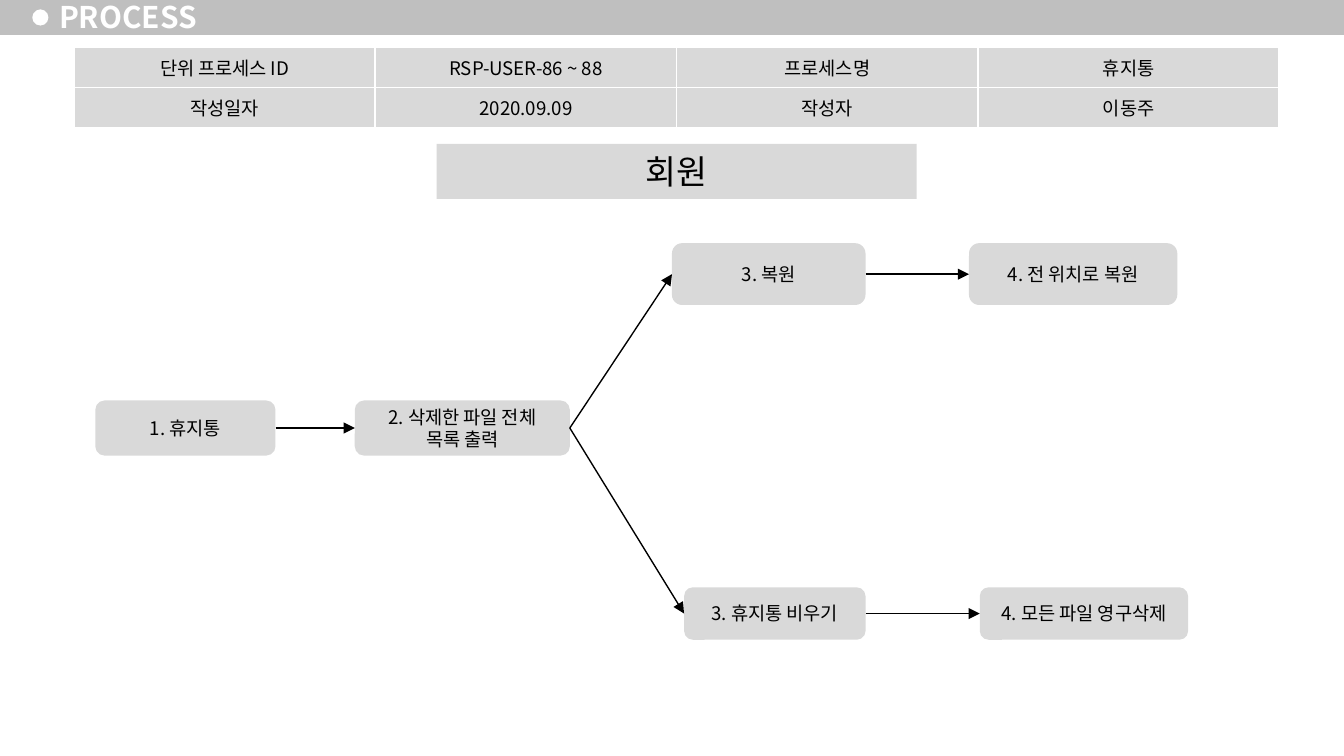
from pptx import Presentation
from pptx.dml.color import RGBColor
from pptx.enum.shapes import MSO_CONNECTOR, MSO_SHAPE
from pptx.enum.text import MSO_ANCHOR, MSO_AUTO_SIZE, PP_ALIGN
from pptx.oxml import parse_xml
from pptx.oxml.ns import nsdecls
from pptx.util import Inches, Pt

THEME = dict(font="Noto Sans CJK KR", banner="BFBFBF", box="D9D9D9",
             ink="000000", paper="FFFFFF", title=16, role=18, body=10)
WIDE = 10
HIGH = WIDE * 9 / 16

INFO = [("단위 프로세스 ID", "RSP-USER-86 ~ 88", "프로세스명", "휴지통"),
        ("작성일자", "2020.09.09", "작성자", "이동주")]
ROWS = {"mid": (2.98, 0.41), "top": (1.81, 0.46), "low": (4.37, 0.39)}
STEPS = {  # key: text, row, left, width
    "bin": ("1. 휴지통", "mid", 0.71, 1.34),
    "list": ("2. 삭제한 파일 전체 목록 출력", "mid", 2.64, 1.6),
    "empty": ("3. 휴지통 비우기", "low", 5.09, 1.35),
    "restore": ("3. 복원", "top", 5, 1.44),
    "purge": ("4. 모든 파일 영구삭제", "low", 7.29, 1.55),
    "back": ("4. 전 위치로 복원", "top", 7.21, 1.55),
}
FLOWS = [("bin", "list"), ("list", "restore"), ("list", "empty"),
         ("empty", "purge"), ("restore", "back")]
LEFT_SITE, RIGHT_SITE = 1, 3


def color(name):
    """Look up a theme colour."""
    return RGBColor.from_string(THEME[name])


def write(frame, text, size="body", ink="ink", bold=False,
          align=PP_ALIGN.CENTER, anchor=MSO_ANCHOR.MIDDLE):
    """Put formatted text into a text frame."""
    frame.word_wrap = True
    frame.vertical_anchor = anchor
    para = frame.paragraphs[0]
    para.alignment = align
    run = para.add_run()
    run.text = text
    font = run.font
    font.name, font.size, font.bold = THEME["font"], Pt(THEME[size]), bold
    font.color.rgb = color(ink)
    props = run._r.get_or_add_rPr()
    props.append(parse_xml(f'<a:ea {nsdecls("a")} typeface="{THEME["font"]}"/>'))


def block(slide, kind, spot, fill):
    """Add a plain filled shape."""
    shape = slide.shapes.add_shape(kind, *map(Inches, spot))
    shape.shadow.inherit = False
    shape.fill.solid()
    shape.fill.fore_color.rgb = color(fill)
    shape.line.fill.background()
    return shape


def header(slide):
    """Draw the banner, its bullet and the title."""
    block(slide, MSO_SHAPE.RECTANGLE, (0, -0.02, WIDE, 0.28), "banner")
    block(slide, MSO_SHAPE.OVAL, (0.24, 0.07, 0.12, 0.12), "paper")
    title = slide.shapes.title
    title.left, title.top, title.width, title.height = map(
        Inches, (0.35, -0.04, 1.22, 0.32))
    frame = title.text_frame
    frame.auto_size = MSO_AUTO_SIZE.NONE
    frame.margin_left = frame.margin_right = Inches(0.09)
    frame.margin_top = frame.margin_bottom = Inches(0.04)
    write(frame, "PROCESS", size="title", ink="paper", bold=True,
          align=PP_ALIGN.LEFT)
    slide.shapes._spTree.append(title._element)


def border(cell):
    """Give a cell thin lines on all sides."""
    props = cell._tc.get_or_add_tcPr()
    for side in "LRTB":
        props.append(parse_xml(
            f'<a:ln{side} {nsdecls("a")} w="12700"><a:solidFill>'
            f'<a:srgbClr val="{THEME["paper"]}"/></a:solidFill></a:ln{side}>'))


def grid(slide):
    """Add the process information table."""
    table = slide.shapes.add_table(
        len(INFO), len(INFO[0]),
        *map(Inches, (0.55, 0.35, 8.97, 0.56))).table
    table.first_row = table.horz_banding = False
    for row, texts in zip(table.rows, INFO):
        for cell, text in zip(row.cells, texts):
            border(cell)
            cell.fill.solid()
            cell.fill.fore_color.rgb = color("box")
            cell.vertical_anchor = MSO_ANCHOR.MIDDLE
            write(cell.text_frame, text)


def arrow(slide, start, end):
    """Join the right side of one step to the left side of the next."""
    line = slide.shapes.add_connector(MSO_CONNECTOR.STRAIGHT, 0, 0, 0, 0)
    line.begin_connect(start, RIGHT_SITE)
    line.end_connect(end, LEFT_SITE)
    line.line.color.rgb = color("ink")
    line.line.width = Pt(0.75)
    line.line._get_or_add_ln().append(
        parse_xml(f'<a:tailEnd {nsdecls("a")} type="triangle"/>'))
    line._element.spPr.append(parse_xml(f'<a:effectLst {nsdecls("a")}/>'))


def chart(slide):
    """Draw the steps and the arrows between them."""
    boxes = {}
    for key, (text, row, left, width) in STEPS.items():
        top, height = ROWS[row]
        boxes[key] = block(slide, MSO_SHAPE.ROUNDED_RECTANGLE,
                           (left, top, width, height), "box")
        write(boxes[key].text_frame, text)
    for start, end in FLOWS:
        arrow(slide, boxes[start], boxes[end])


def main():
    """Build and save the slide."""
    deck = Presentation()
    deck.slide_width, deck.slide_height = Inches(WIDE), Inches(HIGH)
    slide = deck.slides.add_slide(deck.slide_layouts[5])
    header(slide)
    role = block(slide, MSO_SHAPE.RECTANGLE, (3.25, 1.07, 3.57, 0.41), "box")
    write(role.text_frame, "회원", size="role", anchor=MSO_ANCHOR.TOP)
    grid(slide)
    chart(slide)
    deck.save("out.pptx")


main()
